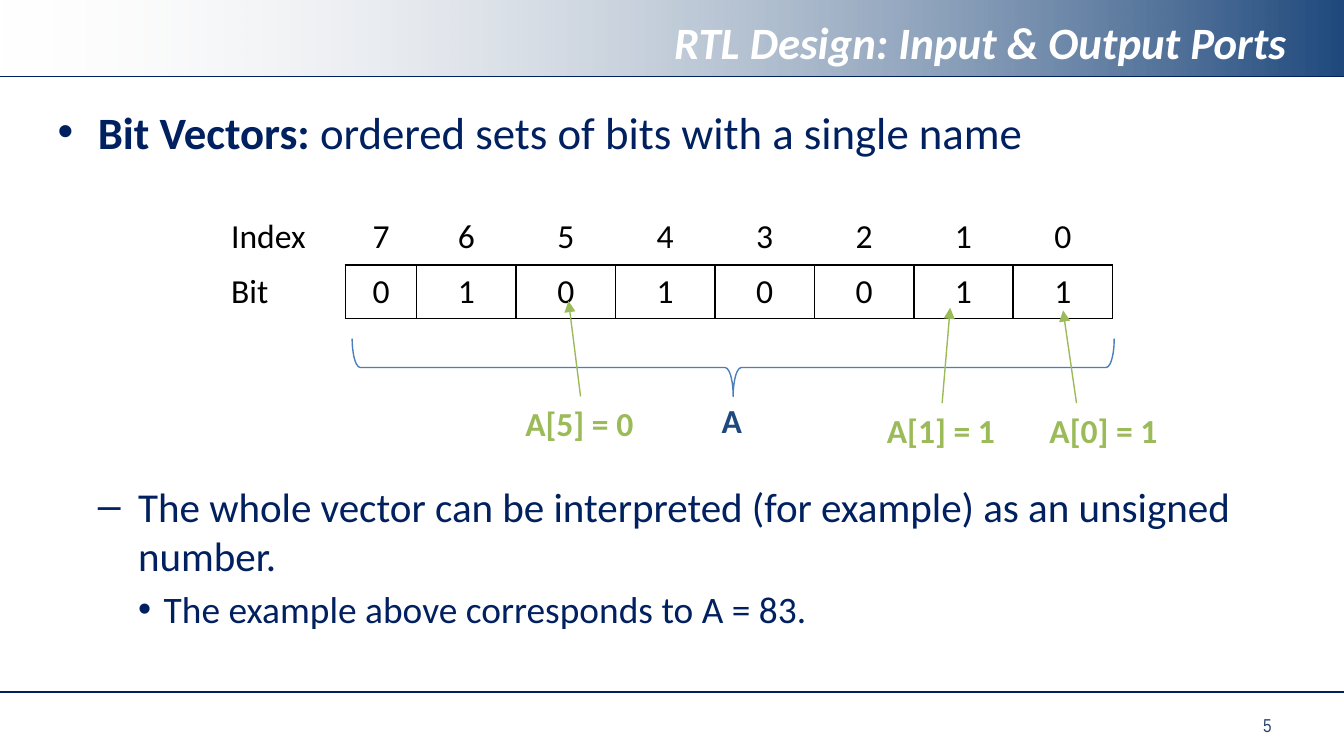
from lxml import etree
from pptx import Presentation
from pptx import util as u
from pptx.dml.color import RGBColor
from pptx.enum import shapes, text
from pptx.oxml import parse_xml
from pptx.oxml.ns import nsdecls, qn

Inches, Pt = u.Inches, u.Pt
COLORS = {"navy": "002060", "blue": "1F497D", "gray": "EAEAEA", "white": "FFFFFF",
          "black": "000000", "green": "9BBB59", "brace": "4B7EBC", "number": "2C456E"}


def color(name):
    return RGBColor.from_string(COLORS[name])


def add_run(paragraph, words, size, tint, bold=False, italic=False, font="Calibri"):
    run = paragraph.add_run()
    run.text = words
    run.font.name, run.font.size = font, Pt(size)
    run.font.bold, run.font.italic = bold, italic
    run.font.color.rgb = color(tint)


# A 16:9 slide
prs = Presentation()
prs.slide_width = Inches(10)
prs.slide_height = prs.slide_width * 9 // 16
slide = prs.slides.add_slide(prs.slide_layouts[6])
items = slide.shapes

# Header band, fading in from the left
band = items.add_shape(shapes.MSO_SHAPE.RECTANGLE, 0, 0, Inches(10), Inches(0.57))
band.shadow.inherit = False
band.line.fill.background()
band.fill.gradient()
band.fill.gradient_angle = 0
for stop, (name, position) in zip(band.fill.gradient_stops, [("gray", 0), ("blue", 1)]):
    stop.color.rgb = color(name)
    stop.position = position
clear_end = next(band._element.spPr.iter(qn("a:srgbClr")))
etree.SubElement(clear_end, qn("a:alpha"), val="0")

# Title and slide number
title = items.add_textbox(Inches(0.5), Inches(0.06), Inches(9.17), Inches(0.5)).text_frame
title.word_wrap = True
title.vertical_anchor = text.MSO_ANCHOR.MIDDLE
title.paragraphs[0].alignment = text.PP_ALIGN.RIGHT
add_run(title.paragraphs[0], "RTL Design: Input & Output Ports", 24, "white", True, True)
number = items.add_textbox(Inches(9.3), Inches(5.26), Inches(0.55), Inches(0.27)).text_frame
number.word_wrap = True
add_run(number.paragraphs[0], "5", 10, "number", font="Arial Narrow")

# Bulleted text above and below the table
outline = [
    (0.73, 0.5, [(0, 0.3, 0.3, "•", 24, [("Bit Vectors: ", True),
                                         ("ordered sets of bits with a single name", False)])]),
    (3.53, 1.5, [(1, 0.6, 0.3, "–", 22, [("The whole vector can be interpreted (for example) "
                                          "as an unsigned number.", False)]),
                 (2, 0.79, 0.19, "•", 20, [("The example above corresponds to A = 83.", False)])]),
]
for top, height, points in outline:
    body = items.add_textbox(Inches(0.33), Inches(top), Inches(9.33), Inches(height)).text_frame
    body.word_wrap = True
    for i, (level, margin, hang, bullet, size, runs) in enumerate(points):
        point = body.add_paragraph() if i else body.paragraphs[0]
        point.level = level
        if i:
            point.space_before = Pt(3.5)
        settings = point._p.get_or_add_pPr()
        settings.set("marL", str(Inches(margin)))
        settings.set("indent", str(-Inches(hang)))
        etree.SubElement(settings, qn("a:buFont"), typeface="Arial")
        etree.SubElement(settings, qn("a:buChar"), char=bullet)
        for words, bold in runs:
            add_run(point, words, size, "navy", bold)

# Bit table: only the bit cells are framed
rows = [["Index", *"76543210"], ["Bit", *"01010011"]]
widths = [0.95, 0.53] + [0.74] * 7
bits = items.add_table(2, len(widths), Inches(1.62), Inches(1.56), Inches(sum(widths)),
                       Inches(0.81)).table
bits.first_row = bits.horz_banding = False
for column, width in zip(bits.columns, widths):
    column.width = Inches(width)
for r, (row, height) in enumerate(zip(rows, [0.41, 0.4])):
    bits.rows[r].height = Inches(height)
    for c, value in enumerate(row):
        cell = bits.cell(r, c)
        cell.fill.background()
        entry = cell.text_frame.paragraphs[0]
        entry.alignment = text.PP_ALIGN.CENTER if c else text.PP_ALIGN.LEFT
        add_run(entry, value, 18, "black")
        framed = {"L": r and c, "R": r, "T": r and c, "B": c}
        for i, (side, shown) in enumerate(framed.items()):
            paint = (f'<a:solidFill><a:srgbClr val="{COLORS["black"]}"/></a:solidFill>'
                     if shown else "<a:noFill/>")
            cell._tc.get_or_add_tcPr().insert(i, parse_xml(
                f'<a:ln{side} {nsdecls("a")} w="{Pt(1)}">{paint}</a:ln{side}>'))

# Brace under the whole vector
brace = items.add_shape(shapes.MSO_SHAPE.RIGHT_BRACE, Inches(5.24), Inches(-0.1),
                        Inches(0.43), Inches(5.67))
brace.rotation = 90
brace.adjustments[0], brace.adjustments[1] = 0.14, 0.5
brace.shadow.inherit = False
brace.fill.background()
brace.line.color.rgb = color("brace")
brace.line.width = Pt(0.75)

# Labels for the vector and its single bits
for left, top, width, words, name in [(5.27, 2.93, 0.35, "A", "blue"),
                                      (7.71, 3, 1.02, "A[0] = 1", "green"),
                                      (6.5, 3, 1.02, "A[1] = 1", "green"),
                                      (3.81, 2.95, 1.02, "A[5] = 0", "green")]:
    label = items.add_textbox(Inches(left), Inches(top), Inches(width), Inches(0.4)).text_frame
    label.word_wrap = False
    add_run(label.paragraphs[0], words, 18, name, True)

# Header and footer rules, then arrows from the labels to their bits
for x1, y1, x2, y2, name in [(10, 0.57, 0, 0.57, "navy"), (10, 5.15, 0, 5.15, "navy"),
                             (4.32, 2.95, 4.23, 2.24, "green"),
                             (7.01, 3, 7.07, 2.29, "green"),
                             (8.01, 3, 7.91, 2.31, "green")]:
    connector = items.add_connector(shapes.MSO_CONNECTOR.STRAIGHT, Inches(x1), Inches(y1),
                                    Inches(x2), Inches(y2))
    connector.line.color.rgb = color(name)
    connector.line.width = Pt(0.75)
    properties = connector._element.spPr
    if name == "green":
        etree.SubElement(properties.find(qn("a:ln")), qn("a:tailEnd"), type="triangle")
    etree.SubElement(properties, qn("a:effectLst"))

prs.save("out.pptx")
